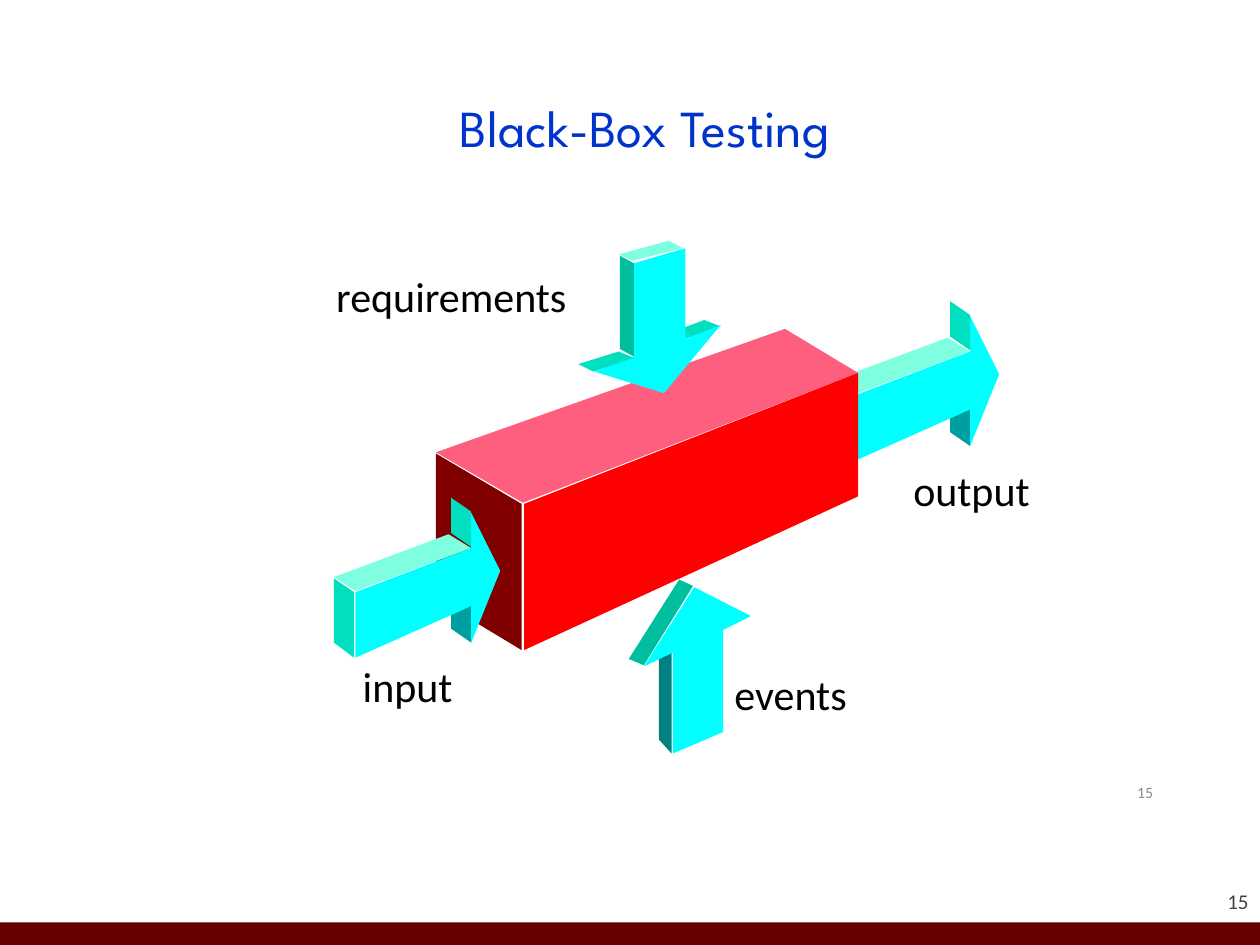
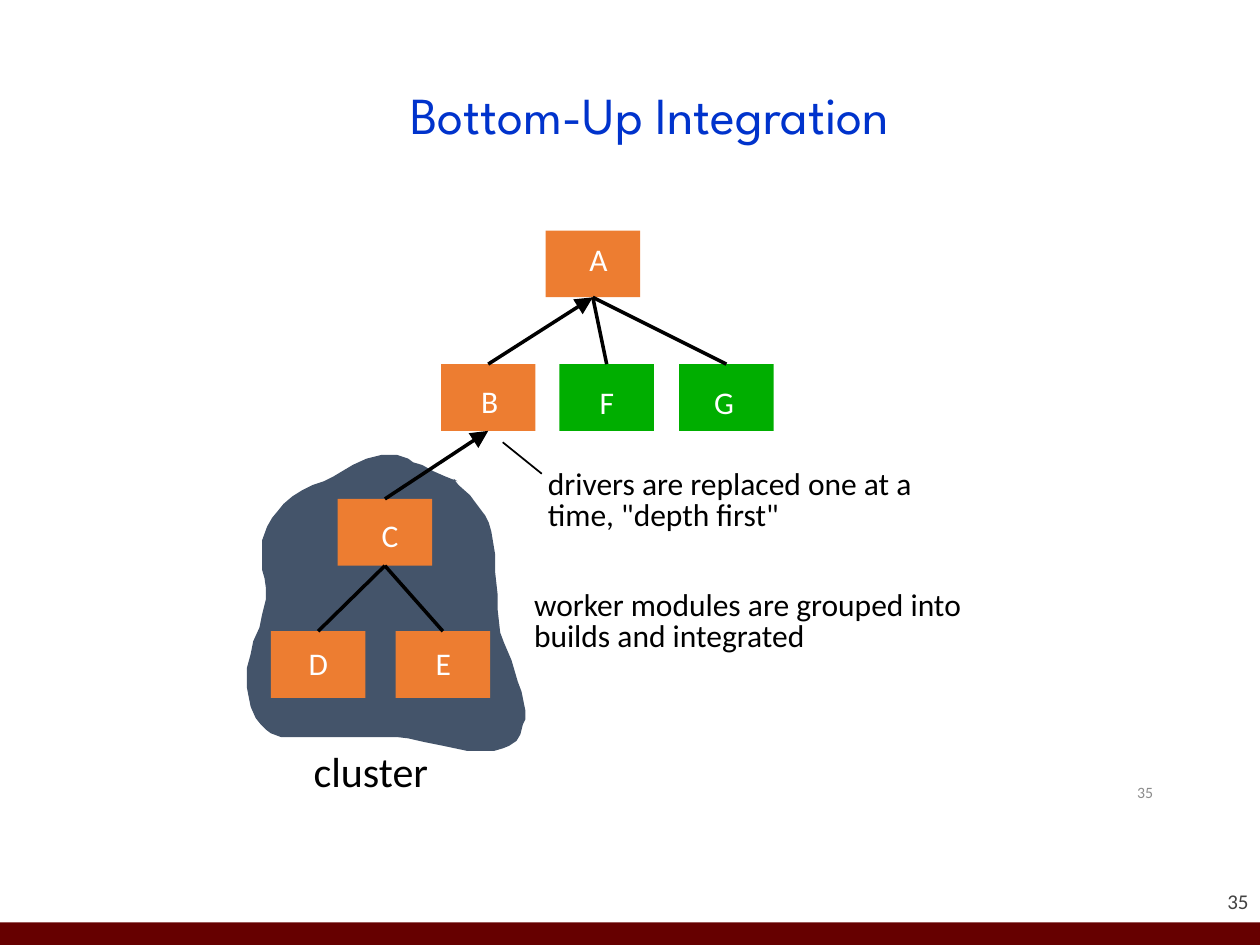
from lxml.etree import SubElement
from pptx import Presentation
from pptx.dml.color import RGBColor
from pptx.enum.shapes import MSO_CONNECTOR, MSO_SHAPE
from pptx.enum.text import MSO_ANCHOR as ANCHOR, MSO_AUTO_SIZE as AUTO, PP_ALIGN as ALIGN
from pptx.oxml.ns import qn
from pptx.util import Pt

PX = 9144
BODY_FONT, TITLE_FONT = "Calibri", "League Spartan"

BLACK = RGBColor(0x00, 0x00, 0x00)
WHITE = RGBColor(0xFF, 0xFF, 0xFF)
MAROON = RGBColor(0x66, 0x00, 0x00)
TITLE_BLUE = RGBColor(0x00, 0x33, 0xCC)
DARK_GRAY = RGBColor(0x42, 0x42, 0x42)
MID_GRAY = RGBColor(0x8C, 0x8C, 0x8C)
CYAN = RGBColor(0x00, 0xFF, 0xFF)
MINT = RGBColor(0x7F, 0xFF, 0xDF)
AQUA = RGBColor(0x00, 0xDF, 0xBF)
SEA = RGBColor(0x00, 0xBF, 0x9F)
TEAL = RGBColor(0x00, 0x9F, 0x9F)
DEEP_TEAL = RGBColor(0x00, 0x80, 0x80)
RED = RGBColor(0xFF, 0x00, 0x00)
PINK = RGBColor(0xFF, 0x5F, 0x7F)
DARK_RED = RGBColor(0x80, 0x00, 0x00)
ORANGE = RGBColor(0xED, 0x7D, 0x31)
GREEN = RGBColor(0x00, 0xAE, 0x00)
SLATE = RGBColor(0x44, 0x54, 0x6A)

FLOW_ARROW = [
    (TEAL, [(374, 510), (374, 482), (358, 470), (358, 499)]),
    (CYAN, [(374, 435), (282, 470), (282, 522), (374, 481), (374, 510), (397, 453), (374, 407)]),
    (AQUA, [(281, 470), (281, 522), (265, 510), (265, 459)]),
    (MINT, [(265, 458), (282, 469), (374, 435), (356, 424)]),
    (AQUA, [(374, 406), (358, 395), (358, 423), (374, 434)]),
]
EVENTS_ARROW = [
    (DEEP_TEAL, [(533, 598), (533, 518), (523, 512), (523, 587)]),
    (CYAN, [(551, 466), (596, 489), (574, 500), (574, 581), (534, 598), (534, 518), (511, 529)]),
    (SEA, [(511, 528), (499, 523), (539, 460), (550, 465)]),
]
BLACK_BOX = [
    (DARK_RED, [(346, 360), (414, 400), (414, 516), (346, 475)]),
    (PINK, [(346, 359), (415, 399), (681, 296), (623, 261)]),
    (RED, [(416, 400), (416, 516), (681, 394), (681, 296)]),
]
REQUIREMENTS_ARROW = [
    (MINT, [(491, 202), (502, 207), (542, 197), (531, 191)]),
    (AQUA, [(543, 269), (572, 259), (559, 254), (532, 264)]),
    (CYAN, [(503, 209), (544, 197), (544, 269), (572, 258), (527, 312), (472, 295), (503, 283)]),
    (AQUA, [(471, 295), (459, 289), (491, 279), (503, 284)]),
    (SEA, [(492, 277), (503, 283), (503, 209), (492, 203)]),
]
CLUSTER = [
    (363, 382), (353, 378), (344, 374), (335, 369), (328, 367), (324, 364), (315, 361),
    (303, 361), (291, 364), (280, 369), (265, 378), (257, 382), (248, 385), (240, 389),
    (232, 394), (225, 400), (221, 405), (216, 411), (212, 418), (208, 429), (208, 452),
    (210, 459), (211, 466), (211, 476), (208, 488), (206, 498), (201, 509), (199, 519),
    (196, 530), (196, 546), (199, 561), (203, 570), (207, 575), (211, 579), (215, 582),
    (223, 585), (315, 585), (324, 586), (337, 589), (352, 592), (371, 596), (392, 596),
    (399, 594), (404, 592), (410, 588), (413, 583), (415, 575), (417, 571), (417, 564),
    (414, 549), (411, 541), (406, 524), (400, 510), (397, 502), (395, 484), (395, 472),
    (393, 454), (393, 440), (390, 422), (388, 415), (385, 409), (379, 401), (373, 393),
    (364, 385), (360, 380),
]
MODULES = {
    "A": (433, 183, ORANGE, 458, 186, 37),
    "B": (350, 289, ORANGE, 372, 298, 38),
    "C": (268, 396, ORANGE, 293, 405, 38),
    "D": (215, 501, ORANGE, 235, 506, 38),
    "E": (314, 501, ORANGE, 336, 506, 36),
    "F": (444, 289, GREEN, 466, 299, 35),
    "G": (539, 289, GREEN, 557, 299, 39),
}


def emu(*px):
    """Turn px lengths into EMU."""
    return [n * PX for n in px]


def paint(sp, color):
    """Give a shape a plain fill with no line or shadow."""
    sp.shadow.inherit = False
    sp.fill.solid()
    sp.fill.fore_color.rgb = color
    sp.line.fill.background()


def add_rect(s, x, y, w, h, color):
    """Add a filled rectangle."""
    sp = s.shapes.add_shape(MSO_SHAPE.RECTANGLE, *emu(x, y, w, h))
    paint(sp, color)
    return sp


def add_face(s, points, color, dx=0, dy=0):
    """Add a closed filled outline, moved by dx and dy."""
    start, *rest = [(x + dx, y + dy) for x, y in points]
    builder = s.shapes.build_freeform(*start, scale=PX)
    builder.add_line_segments(rest, close=True)
    paint(builder.convert_to_shape(), color)


def add_solid(s, faces, dx=0, dy=0):
    """Add a solid body made of coloured faces."""
    for color, points in faces:
        add_face(s, points, color, dx, dy)


def add_text(s, text, x, y, w, h, size, color, font=BODY_FONT, align=ALIGN.LEFT,
             anchor=ANCHOR.TOP, wrap=True):
    """Add a one-paragraph text box and return its frame."""
    tf = s.shapes.add_textbox(*emu(x, y, w, h)).text_frame
    tf.word_wrap = wrap
    tf.vertical_anchor = anchor
    p = tf.paragraphs[0]
    p.text, p.alignment = text, align
    p.font.size, p.font.name, p.font.color.rgb = Pt(size), font, color
    return tf


def add_label(s, text, x, y, w, size=24, color=BLACK):
    """Add a label that fits its text."""
    h = 50 if size == 24 else 40
    tf = add_text(s, text, x, y, w, h, size, color, wrap=False)
    tf.auto_size = AUTO.SHAPE_TO_FIT_TEXT


def add_note(s, lines, x, y):
    """Add closely set note lines, each a text and its width."""
    for i, (text, w) in enumerate(lines):
        add_label(s, text, x, y + 25 * i, w, 18)


def add_line(s, start, end, width=2, arrow=False):
    """Add a black line, with an arrowhead at its end if asked."""
    c = s.shapes.add_connector(MSO_CONNECTOR.STRAIGHT, *emu(*start, *end))
    c.line.color.rgb, c.line.width = BLACK, Pt(width)
    sp_pr = c.element.spPr
    if arrow:
        SubElement(sp_pr.find(qn("a:ln")), qn("a:tailEnd"), type="triangle", w="lg", len="lg")
    SubElement(sp_pr, qn("a:effectLst"))
    return c


def add_link(s, child, parent, arrow=False):
    """Join the top of a child box to the bottom of its parent."""
    c = add_line(s, (0, 0), (0, 0), arrow=arrow)
    c.begin_connect(child, 0)
    c.end_connect(parent, 2)


def add_base(prs, title, number, x, y, w):
    """Start a slide with its band, page numbers and title."""
    s = prs.slides.add_slide(prs.slide_layouts[6])
    add_rect(s, 0, 732, 1000, 18, MAROON)
    tf = add_text(s, number, 908, 685, 83, 40, 12, DARK_GRAY, align=ALIGN.RIGHT,
                  anchor=ANCHOR.BOTTOM)
    tf.margin_left = tf.margin_right = tf.margin_top = tf.margin_bottom = 0
    tf.paragraphs[0].space_before = Pt(5)
    add_text(s, number, 717, 607, 208, 44, 9, MID_GRAY, align=ALIGN.RIGHT,
             anchor=ANCHOR.MIDDLE)
    tf = add_text(s, title, x, y, w, 29, 29.7, TITLE_BLUE, TITLE_FONT, ALIGN.CENTER,
                  ANCHOR.MIDDLE)
    tf.paragraphs[0].line_spacing = 0.9
    return s


def add_black_box_slide(prs):
    """Show the box with its inputs and outputs."""
    s = add_base(prs, "Black-Box Testing", "15", 180, 89, 664)
    add_solid(s, FLOW_ARROW, 396, -156)
    for faces in (EVENTS_ARROW, BLACK_BOX, REQUIREMENTS_ARROW, FLOW_ARROW):
        add_solid(s, faces)
    add_label(s, "requirements", 257, 210, 231)
    add_label(s, "events", 573, 526, 125)
    add_label(s, "input", 278, 519, 101)
    add_label(s, "output", 715, 364, 123)


def add_bottom_up_slide(prs):
    """Show the module tree with its cluster and notes."""
    s = add_base(prs, "Bottom-Up Integration", "35", 160, 79, 712)
    add_face(s, CLUSTER, SLATE)
    boxes = {name: add_rect(s, x, y, 75, 53, color)
             for name, (x, y, color, *_) in MODULES.items()}
    for child, parent in ("BA", "CB", "DC", "EC", "FA", "GA"):
        add_link(s, boxes[child], boxes[parent], arrow=child in "BC")
    add_note(s, [("drivers are replaced one at a", 365), ('time, "depth first"', 231)], 425, 363)
    add_note(s, [("worker modules are grouped into", 423), ("builds and integrated", 273)],
             414, 459)
    for name, (*_, x, y, w) in MODULES.items():
        add_label(s, name, x, y, w, 18, WHITE)
    add_label(s, "cluster", 239, 587, 129)
    add_line(s, (399, 351), (430, 376), 1)


def main():
    """Build and save the deck."""
    prs = Presentation()
    prs.slide_width, prs.slide_height = emu(1000, 750)
    add_black_box_slide(prs)
    add_bottom_up_slide(prs)
    prs.save("out.pptx")


if __name__ == "__main__":
    main()
